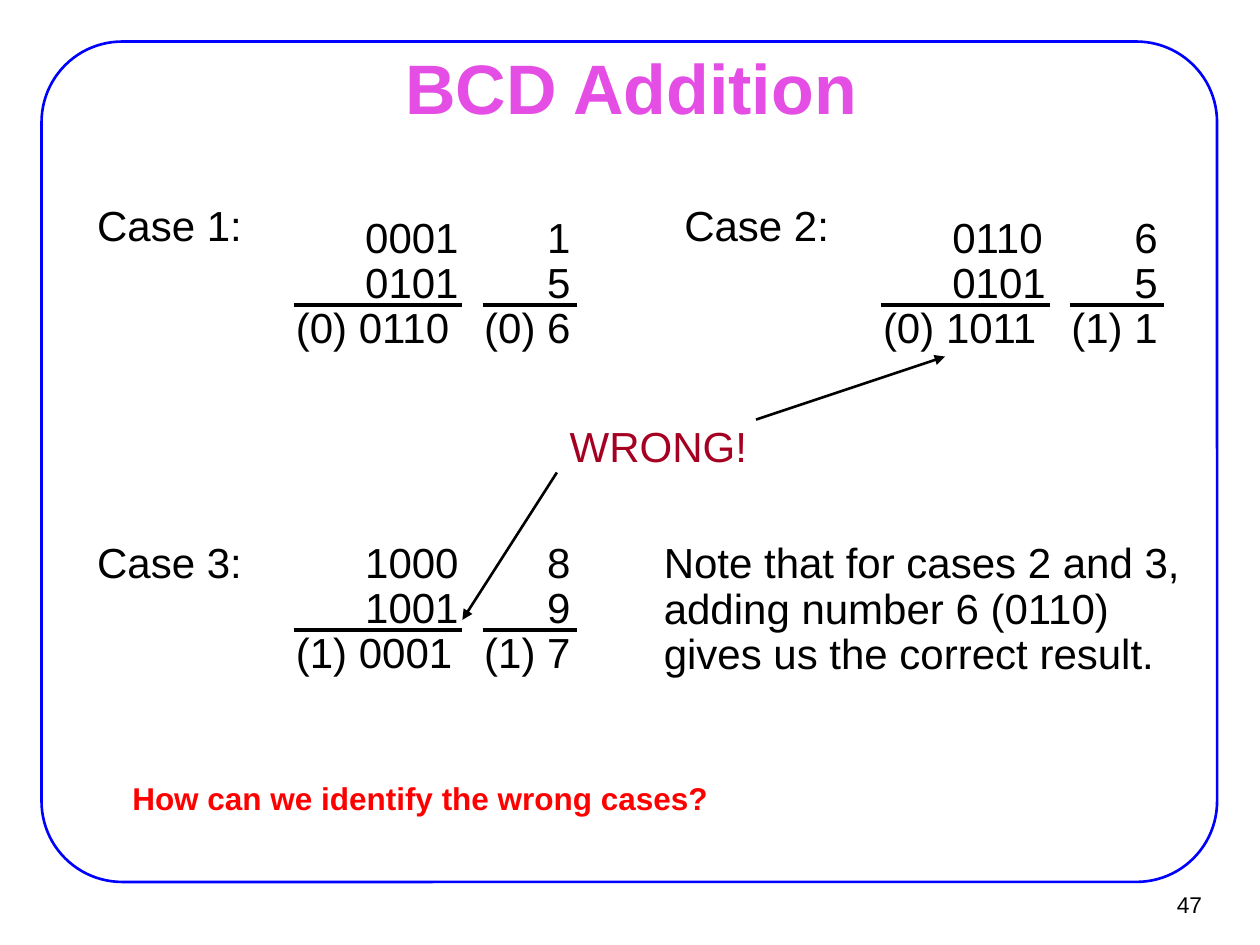
from lxml import etree
from pptx import Presentation
from pptx.dml.color import RGBColor
from pptx.enum.shapes import MSO_CONNECTOR, MSO_SHAPE
from pptx.enum.text import MSO_ANCHOR, MSO_AUTO_SIZE, PP_ALIGN
from pptx.oxml.ns import qn
from pptx.util import Inches, Pt

STRAIGHT = MSO_CONNECTOR.STRAIGHT
ROUNDED = MSO_SHAPE.ROUNDED_RECTANGLE
MIDDLE, TOP = MSO_ANCHOR.MIDDLE, MSO_ANCHOR.TOP
LEFT, CENTER, RIGHT = PP_ALIGN.LEFT, PP_ALIGN.CENTER, PP_ALIGN.RIGHT
NO_FIT = MSO_AUTO_SIZE.NONE
BLACK = "000000"
SUM_TABS = ((0.55, "l"), (2.18, "r"))


def rgb(value):
    return RGBColor.from_string(value)


def style(paragraph, size, color=BLACK, bold=False, align=LEFT, spacing=0.9):
    paragraph.alignment = align
    paragraph.line_spacing = spacing
    font = paragraph.font
    font.name, font.size, font.bold = "Arial", Pt(size), bold
    font.color.rgb = rgb(color)


def add_text(slide, box, lines, size=24, wrap=True, anchor=MIDDLE,
             insets=(0.1, 0.05), **look):
    frame = slide.shapes.add_textbox(*map(Inches, box)).text_frame
    frame.word_wrap = wrap
    frame.vertical_anchor = anchor
    frame.margin_left = frame.margin_right = Inches(insets[0])
    frame.margin_top = frame.margin_bottom = Inches(insets[1])
    frame.text = "\n".join(lines)
    for paragraph in frame.paragraphs:
        style(paragraph, size, **look)
    return frame


def set_tabs(paragraph, stops):
    tab_list = etree.Element(qn("a:tabLst"))
    for position, align in stops:
        etree.SubElement(tab_list, qn("a:tab"),
                         pos=str(Inches(position)), algn=align)
    paragraph.font._element.addprevious(tab_list)


def add_line(slide, start, end, width, arrow=False):
    line = slide.shapes.add_connector(STRAIGHT, *map(Inches, (*start, *end)))
    line.line.color.rgb = rgb(BLACK)
    line.line.width = Pt(width)
    if arrow:
        etree.SubElement(line.line._get_or_add_ln(), qn("a:tailEnd"),
                         type="triangle")
    etree.SubElement(line._element.spPr, qn("a:effectLst"))


def add_frame(slide, box):
    border = slide.shapes.add_shape(ROUNDED, *map(Inches, box))
    border.adjustments[0] = 0.096
    border.shadow.inherit = False
    border.fill.background()
    border.line.color.rgb = rgb("0000FF")
    border.line.width = Pt(1.5)


def add_title(slide, box):
    title = slide.shapes.title
    title.left, title.top, title.width, title.height = map(Inches, box)
    frame = title.text_frame
    frame.text = "BCD Addition"
    frame.auto_size = NO_FIT
    frame.vertical_anchor = MIDDLE
    style(frame.paragraphs[0], 40, "E44EE4", True, CENTER, 1.0)


def add_case(slide, left, top, name, rows, sum_drop):
    add_text(slide, (left, top, 1.35, 0.46), [name], wrap=False, align=CENTER)
    sum_left, sum_top = left + 1.58, top + sum_drop
    addition = add_text(slide, (sum_left, sum_top, 2.41, 1.18), rows)
    for paragraph in addition.paragraphs:
        set_tabs(paragraph, SUM_TABS)
    rule_y = sum_top + 0.75
    for start, end in ((0.08, 1.42), (1.58, 2.33)):
        add_line(slide, (sum_left + start, rule_y), (sum_left + end, rule_y), 2.25)


def add_warning(slide, box):
    add_text(slide, box, ["WRONG!"], wrap=False, color="A50021", align=CENTER)
    add_line(slide, (6, 3.33), (7.5, 2.83), 1.5, arrow=True)
    add_line(slide, (4.42, 3.75), (3.67, 4.92), 1.5, arrow=True)


def main():
    deck = Presentation()
    deck.slide_width, deck.slide_height = Inches(10), Inches(7.5)
    slide = deck.slides.add_slide(deck.slide_layouts[5])
    add_frame(slide, (0.33, 0.33, 9.33, 6.67))
    add_title(slide, (0.76, 0.44, 8.5, 0.49))
    cases = (
        (0.67, 1.58, "Case 1:", ["\t0001\t1", "\t0101\t5", "(0) 0110\t(0) 6"], 0.09),
        (5.33, 1.58, "Case 2:", ["\t0110\t6", "\t0101\t5", "(0) 1011\t(1) 1"], 0.09),
        (0.67, 4.25, "Case 3:", ["\t1000\t8", "\t1001\t9", "(1) 0001\t(1) 7"], 0),
    )
    for case in cases:
        add_case(slide, *case)
    add_warning(slide, (4.42, 3.33, 1.61, 0.46))
    add_text(slide, (5.17, 4.25, 4.33, 1.19),
             ["Note that for cases 2 and 3, adding number 6 (0110) "
              "gives us the correct result."])
    add_text(slide, (0.98, 6.2, 4.75, 0.31),
             ["How can we identify the wrong cases?"], size=18, wrap=False,
             anchor=TOP, insets=(0.07, 0.03), color="FF0000", bold=True,
             spacing=0.85)
    add_text(slide, (9.02, 6.99, 0.61, 0.37), ["47"], size=13,
             insets=(0.09, 0.04), align=RIGHT, spacing=1.0)
    deck.save("out.pptx")


if __name__ == "__main__":
    main()
